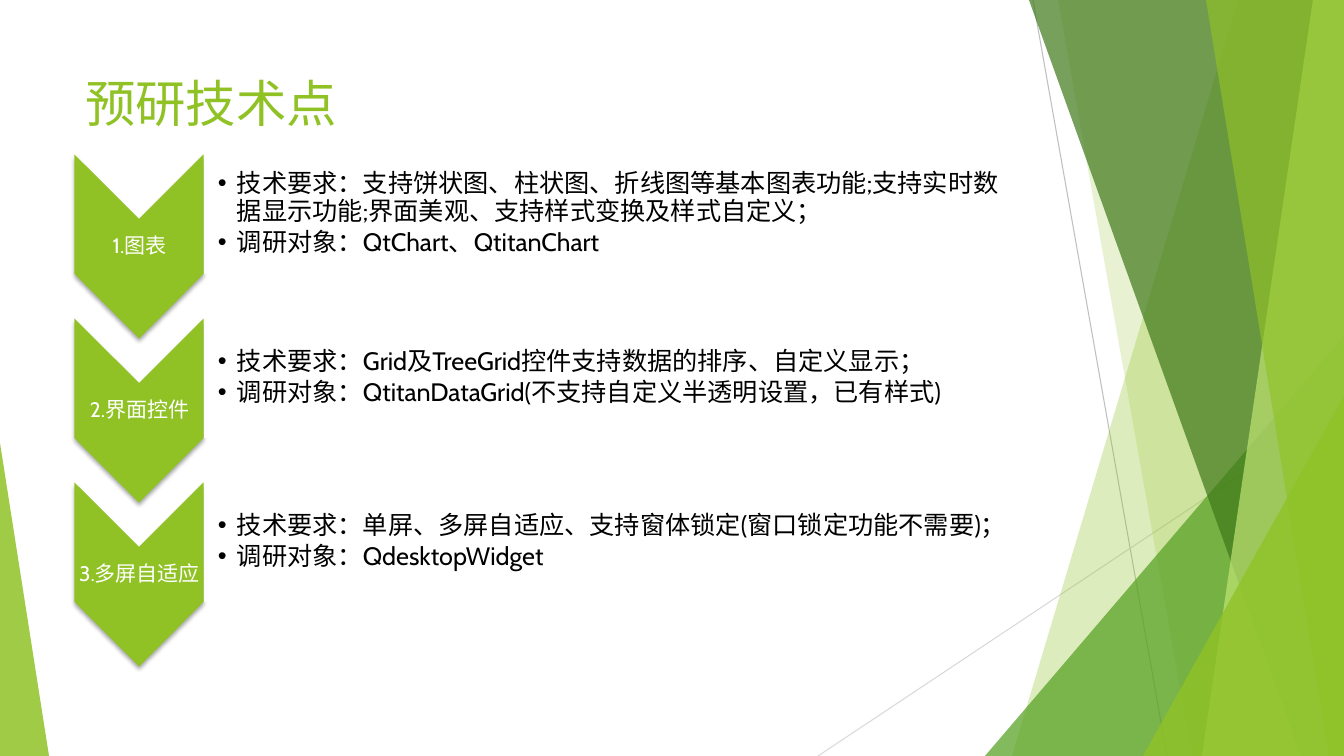
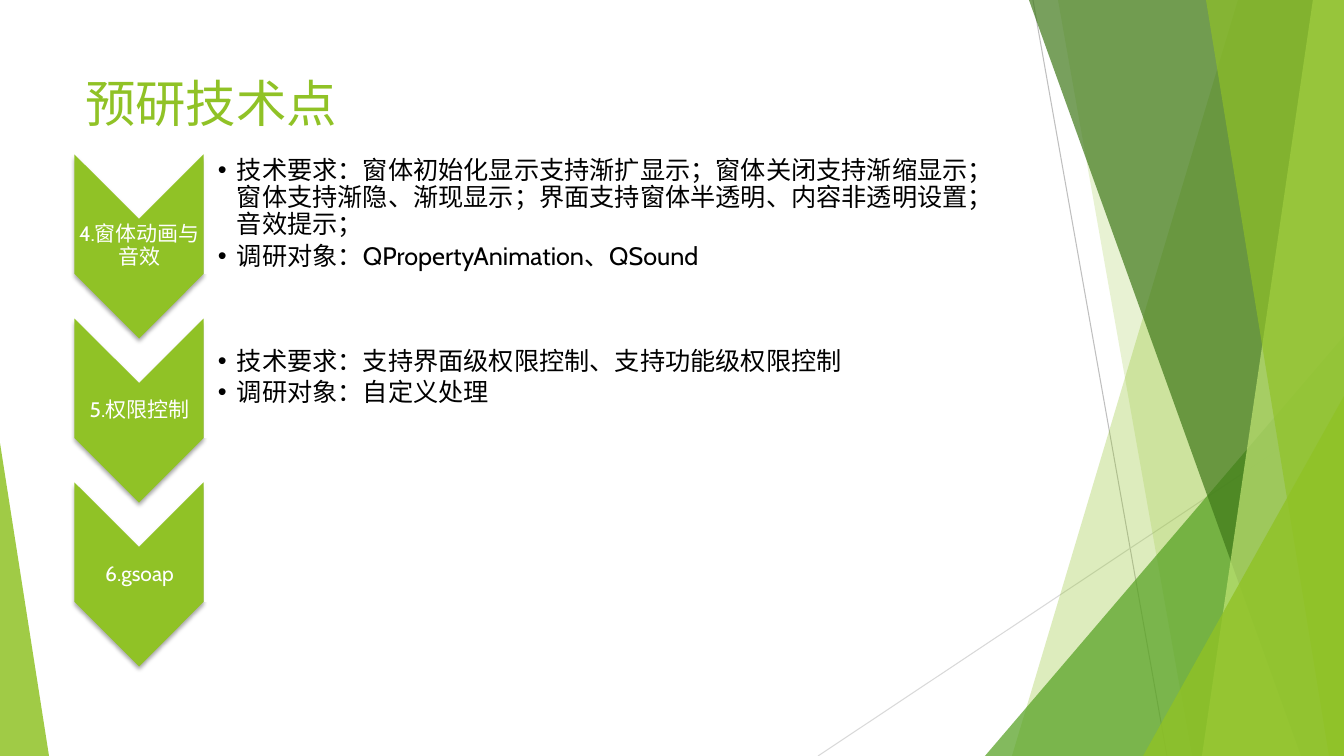
import pptx
import pptx.dml.color
import pptx.enum.shapes
import pptx.enum.text
import pptx.oxml.ns
import pptx.util
from lxml import etree

RGB = pptx.dml.color.RGBColor
KIND = pptx.enum.shapes.MSO_SHAPE
ANCHOR = pptx.enum.text.MSO_ANCHOR
ALIGN = pptx.enum.text.PP_ALIGN
FIT = pptx.enum.text.MSO_AUTO_SIZE
qn = pptx.oxml.ns.qn

LIME = RGB(0x90, 0xC2, 0x26)
GREEN = RGB(0x54, 0xA0, 0x21)
MOSS = RGB(0x3F, 0x78, 0x19)
PALE = RGB(0xC0, 0xE4, 0x74)
GREY = RGB(0xBF, 0xBF, 0xBF)
SILVER = RGB(0xD9, 0xD9, 0xD9)
WHITE = RGB(0xFF, 0xFF, 0xFF)
BLACK = RGB(0x00, 0x00, 0x00)

WIDE, HIGH = 1344, 756
STEP = 164  # distance between rows
FONT = "Cabin"
COMPARE = 4  # template layout with a title and four bodies


def px(num):
    return pptx.util.Emu(round(num * 914400 / 100.8))


def apply(item, values):
    for name, value in values.items():
        setattr(item, name, value)


def add(parent, tag, **values):
    return etree.SubElement(parent, qn(tag), values)


class Deck:
    frame = dict(word_wrap=True, auto_size=FIT.NONE, vertical_anchor=ANCHOR.MIDDLE,
                 margin_left=px(1), margin_right=px(1),
                 margin_top=px(1), margin_bottom=px(1))
    head = dict(frame, vertical_anchor=ANCHOR.TOP, margin_left=px(10),
                margin_right=px(10), margin_top=px(5), margin_bottom=px(5))
    body = dict(frame, margin_left=px(14))
    para = dict(alignment=ALIGN.LEFT, line_spacing=0.9,
                space_before=pptx.util.Pt(0), space_after=pptx.util.Pt(3))

    def __init__(self):
        self.prs = pptx.Presentation()
        apply(self.prs, dict(slide_width=px(WIDE), slide_height=px(HIGH)))
        self.layout = self.prs.slide_layouts[COMPARE]

    def page(self):
        self.slide = self.prs.slides.add_slide(self.layout)
        self.shapes = self.slide.shapes
        self.bodies = list(self.slide.placeholders)[1:]

    # Basic elements
    def place(self, item, left, top, wide, high):
        apply(item, dict(left=px(left), top=px(top), width=px(wide), height=px(high)))

    def paint(self, item, color, alpha=100):
        item.shadow.inherit = False
        item.fill.solid()
        item.fill.fore_color.rgb = color
        item.line.fill.background()
        if alpha < 100:
            tint = next(item.element.spPr.iter(qn("a:srgbClr")))
            add(tint, "a:alpha", val=str(alpha * 1000))

    def shape(self, kind, box, color, alpha=100, turn=0):
        item = self.shapes.add_shape(kind, *map(px, box))
        item.rotation = turn
        self.paint(item, color, alpha)
        return item

    def text(self, frame, lines, size, color, form, para):
        apply(frame, form)
        frame.text = "\n".join(lines)
        for par in frame.paragraphs:
            apply(par, para)
            apply(par.font, dict(size=pptx.util.Pt(size), name=FONT, bold=False))
            par.font.color.rgb = color

    # Backdrop elements
    def line(self, ends, color):
        item = self.shapes.add_connector(
            pptx.enum.shapes.MSO_CONNECTOR.STRAIGHT, *map(px, ends))
        item.line.color.rgb = color
        item.line.width = pptx.util.Pt(0.75)
        add(item.element.spPr, "a:effectLst")

    def facet(self, top, foot, color, alpha):
        pen = self.shapes.build_freeform(px(top), px(0), scale=1.0)
        pen.add_line_segments([(px(WIDE), px(0)), (px(WIDE), px(HIGH)),
                               (px(foot), px(HIGH))], close=True)
        self.paint(pen.convert_to_shape(), color, alpha)

    def peak(self, left, top, wide, tip, color, alpha):
        box = (left, top, wide, HIGH - top)
        item = self.shape(KIND.ISOSCELES_TRIANGLE, box, color, alpha)
        item.adjustments[0] = tip

    def share(self):
        """Move the drawn backdrop to the layout, so every slide has it."""
        drawn = [s for s in self.shapes if not s.is_placeholder]
        for num, item in enumerate(drawn, 100):
            next(item.element.iter(qn("p:cNvPr"))).set("id", str(num))
            self.layout.shapes.element.append(item.element)

    # Slide elements
    def title(self, text):
        item = self.shapes.title
        self.place(item, 75, 67, 947, 87)
        self.text(item.text_frame, [text], 36, LIME, self.head,
                  dict(alignment=ALIGN.LEFT))

    def arrow(self, top, text):
        item = self.shape(KIND.CHEVRON, (47, top + 28, 184, 129), LIME, turn=90)
        glow = add(item.element.spPr.find(qn("a:effectLst")), "a:outerShdw",
                   blurRad="38100", dist="25400", dir="5400000", rotWithShape="0")
        add(add(glow, "a:srgbClr", val="000000"), "a:alpha", val="35000")
        label = self.shapes.add_textbox(*map(px, (75, top + 65, 129, 55)))
        self.text(label.text_frame, [text], 15, WHITE, self.frame,
                  dict(self.para, alignment=ALIGN.CENTER,
                       space_after=pptx.util.Pt(0)))

    def panel(self, top):
        self.shape(KIND.ROUND_2_SAME_RECTANGLE, (553, top - 349, 120, 818),
                   WHITE, 90, turn=90)

    def points(self, top, lines):
        item = self.bodies.pop(0)
        self.place(item, 204, top + 6, 812, 108)
        self.shapes.element.append(item.element)  # in front of its panel
        self.text(item.text_frame, lines, 18, BLACK, self.body, self.para)
        for prop in item.element.iter(qn("a:pPr")):
            prop.set("marL", str(px(19)))
            prop.set("indent", str(-px(19)))
            add(prop, "a:buFont", typeface="Arial")
            add(prop, "a:buChar", char="•")

    def clean(self):
        for item in self.bodies:
            item.element.getparent().remove(item.element)


def backdrop(deck):
    deck.line((1033, 0, 1167, HIGH), GREY)
    deck.line((WIDE, 406, 818, HIGH), SILVER)
    for draw, *args in (
        (deck.facet, 1238, 1012, LIME, 30),
        (deck.facet, 1058, 1192, LIME, 20),
        (deck.peak, 985, 336, 359, 1, GREEN, 72),
        (deck.facet, 1029, 1301, MOSS, 70),
        (deck.facet, 1313, 1202, PALE, 70),
        (deck.facet, 1206, 1329, LIME, 65),
        (deck.peak, 1143, 396, 201, 1, LIME, 80),
        (deck.peak, 0, 443, 49, 0, LIME, 85),
    ):
        draw(*args)
    deck.share()


# Each slide: rows of an arrow label and its list
PAGES = [
    [
        ("1.图表", [
            "技术要求：支持饼状图、柱状图、折线图等基本图表功能;支持实时数据显示功能;"
            "界面美观、支持样式变换及样式自定义；",
            "调研对象：QtChart、QtitanChart"]),
        ("2.界面控件", [
            "技术要求：Grid及TreeGrid控件支持数据的排序、自定义显示；",
            "调研对象：QtitanDataGrid(不支持自定义半透明设置，已有样式)"]),
        ("3.多屏自适应", [
            "技术要求：单屏、多屏自适应、支持窗体锁定(窗口锁定功能不需要)；",
            "调研对象：QdesktopWidget"]),
    ],
    [
        ("4.窗体动画与音效", [
            "技术要求：窗体初始化显示支持渐扩显示；窗体关闭支持渐缩显示；"
            "窗体支持渐隐、渐现显示；界面支持窗体半透明、内容非透明设置；音效提示；",
            "调研对象：QPropertyAnimation、QSound"]),
        ("5.权限控制", [
            "技术要求：支持界面级权限控制、支持功能级权限控制",
            "调研对象：自定义处理"]),
        ("6.gsoap", []),
    ],
]


def main():
    deck = Deck()
    for num, rows in enumerate(PAGES):
        deck.page()
        if num == 0:
            backdrop(deck)
        deck.title("预研技术点")
        for row, (label, lines) in enumerate(rows):
            top = 154 + row * STEP
            deck.arrow(top, label)
            deck.panel(top)
            if lines:
                deck.points(top, lines)
        deck.clean()
    deck.prs.save("out.pptx")


if __name__ == "__main__":
    main()
